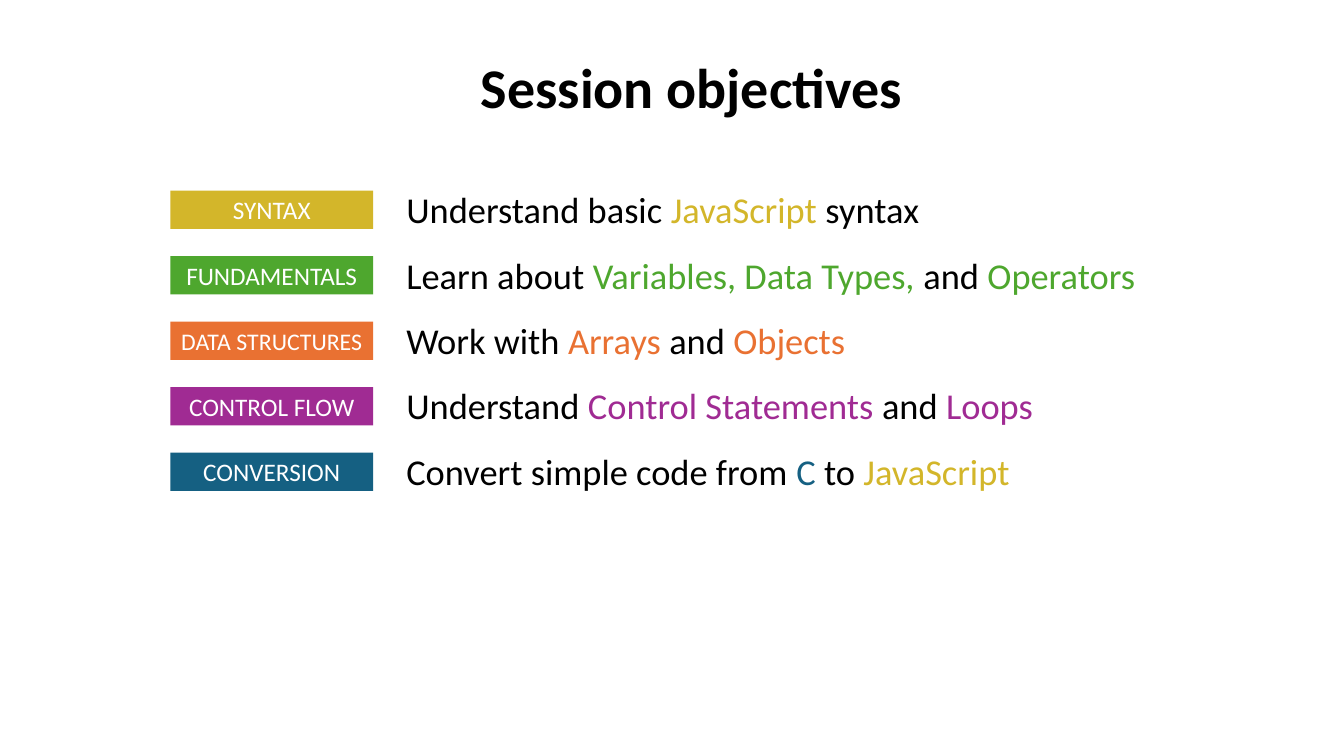
from dataclasses import dataclass

from lxml import etree
from pptx import Presentation
from pptx.dml.color import RGBColor
from pptx.enum.shapes import MSO_SHAPE
from pptx.enum.text import MSO_ANCHOR, MSO_AUTO_SIZE, PP_ALIGN
from pptx.oxml.ns import qn
from pptx.slide import Slide
from pptx.util import Inches, Pt

RECTANGLE = MSO_SHAPE.RECTANGLE
TOP, MIDDLE = MSO_ANCHOR.TOP, MSO_ANCHOR.MIDDLE
LEFT, CENTER = PP_ALIGN.LEFT, PP_ALIGN.CENTER
NO_AUTOFIT = MSO_AUTO_SIZE.NONE

CELL = Inches(0.1)  # side of one grid cell: every length counts cells
FONT = "Calibri"
BLACK, WHITE = "000000", "FFFFFF"
GOLD, GREEN, ORANGE, PURPLE, BLUE = "D3B62A", "4EA72E", "E97132", "A02B93", "156082"

TAG_LEFT, TAG_TOP, TAG_WIDTH, TAG_HEIGHT = 16.9, 18.9, 20.1, 3.8
TAG_PITCH = 6.5


@dataclass(frozen=True)
class Run:
    text: str
    color: str = BLACK


@dataclass(frozen=True)
class Objective:
    tag: str
    color: str
    runs: tuple[Run, ...]
    tag_size: int = 18


OBJECTIVES = (
    Objective("SYNTAX", GOLD, (
        Run("Understand basic "), Run("JavaScript", GOLD), Run(" syntax"))),
    Objective("FUNDAMENTALS", GREEN, (
        Run("Learn about "), Run("Variables, Data Types,", GREEN),
        Run(" and "), Run("Operators", GREEN))),
    Objective("DATA STRUCTURES", ORANGE, (
        Run("Work with "), Run("Arrays", ORANGE),
        Run(" and "), Run("Objects", ORANGE)), 17),
    Objective("CONTROL FLOW", PURPLE, (
        Run("Understand "), Run("Control Statements ", PURPLE),
        Run("and "), Run("Loops", PURPLE))),
    Objective("CONVERSION", BLUE, (
        Run("Convert simple code from "), Run("C", BLUE),
        Run(" to "), Run("JavaScript", GOLD))),
)


def rgb(color: str) -> RGBColor:
    return RGBColor.from_string(color)


def cells(*counts: float) -> list[int]:
    return [round(count * CELL) for count in counts]


def apply(target, formats: dict) -> None:
    for name, value in formats.items():
        setattr(target, name, value)


def place(shape, left: float, top: float, width: float, height: float) -> None:
    names = ("left", "top", "width", "height")
    apply(shape, dict(zip(names, cells(left, top, width, height))))


def add_run(paragraph, run: Run, size: int, bold: bool = False) -> None:
    text_run = paragraph.add_run()
    text_run.text = run.text
    apply(text_run.font, {"name": FONT, "size": Pt(size), "bold": bold})
    text_run.font.color.rgb = rgb(run.color)


def remove_bullet(paragraph) -> None:
    properties = paragraph._p.get_or_add_pPr()
    properties.set("marL", "0")
    properties.set("indent", "0")
    etree.SubElement(properties, qn("a:buNone"))


def add_title(slide: Slide, text: str) -> None:
    title = slide.shapes.title
    place(title, 46.7, 4.7, 45.6, 7.7)
    frame = title.text_frame
    apply(frame, {"auto_size": NO_AUTOFIT, "word_wrap": True, "vertical_anchor": TOP})
    paragraph = frame.paragraphs[0]
    paragraph.alignment = LEFT
    add_run(paragraph, Run(text), 40, bold=True)


def add_objective_list(slide: Slide, objectives: tuple[Objective, ...]) -> None:
    body = slide.placeholders[1]
    place(body, 39.3, 15.9, 77.2, 33.8)
    frame = body.text_frame
    apply(frame, {"auto_size": NO_AUTOFIT, "word_wrap": True, "vertical_anchor": TOP})
    for index, objective in enumerate(objectives):
        paragraph = frame.add_paragraph() if index else frame.paragraphs[0]
        apply(paragraph, {"alignment": LEFT, "line_spacing": 1.5,
                          "space_before": Pt(0), "space_after": Pt(0)})
        remove_bullet(paragraph)
        for run in objective.runs:
            add_run(paragraph, run, 26)


def add_tag(slide: Slide, objective: Objective, row: int) -> None:
    top = TAG_TOP + row * TAG_PITCH
    box = cells(TAG_LEFT, top, TAG_WIDTH, TAG_HEIGHT)
    tag = slide.shapes.add_shape(RECTANGLE, *box)
    tag.shadow.inherit = False
    tag.fill.solid()
    tag.fill.fore_color.rgb = rgb(objective.color)
    tag.line.fill.background()
    frame = tag.text_frame
    apply(frame, {"word_wrap": True, "vertical_anchor": MIDDLE,
                  "margin_left": Inches(0.05), "margin_right": Inches(0.05)})
    paragraph = frame.paragraphs[0]
    paragraph.alignment = CENTER
    add_run(paragraph, Run(objective.tag, WHITE), objective.tag_size)


def main() -> None:
    presentation = Presentation()
    apply(presentation, {"slide_width": Inches(13.33), "slide_height": Inches(7.5)})
    slide = presentation.slides.add_slide(presentation.slide_layouts[1])
    add_title(slide, "Session objectives")
    add_objective_list(slide, OBJECTIVES)
    for row, objective in enumerate(OBJECTIVES):
        add_tag(slide, objective, row)
    presentation.save("out.pptx")


if __name__ == "__main__":
    main()
